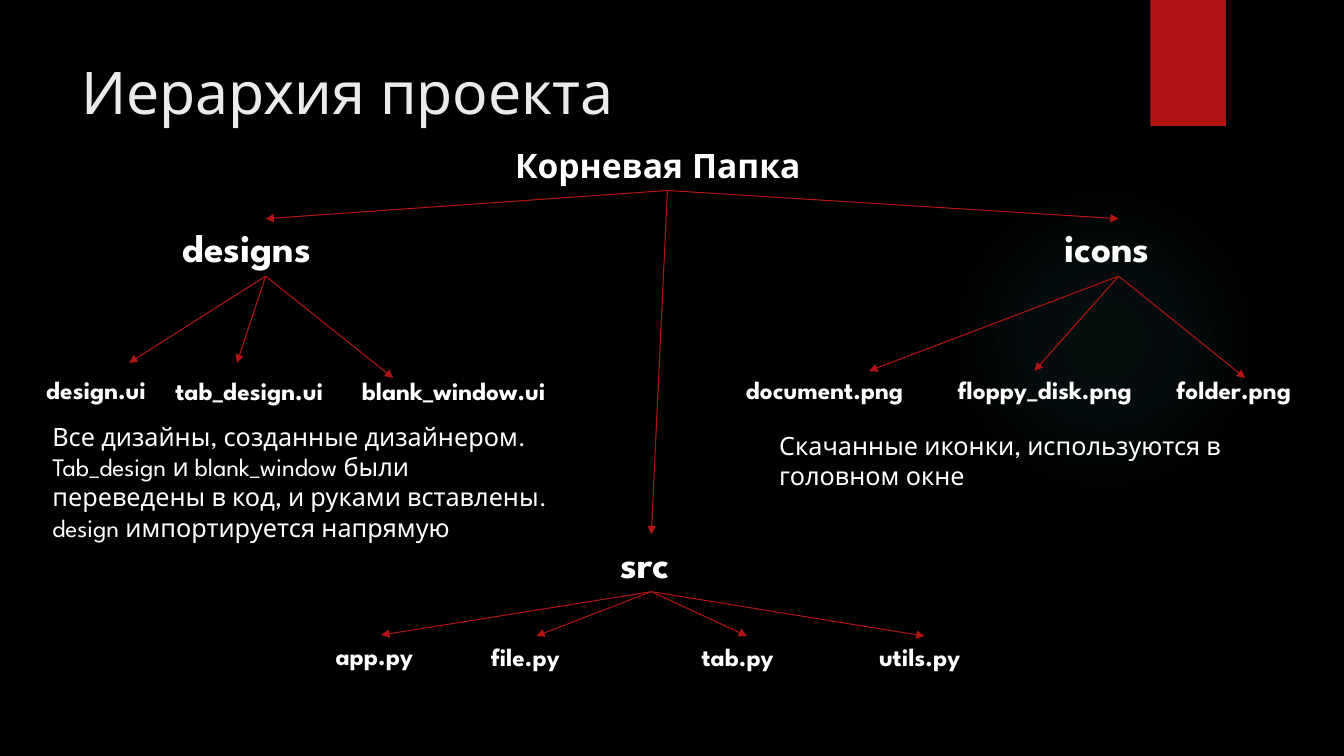
from lxml import etree
from pptx import Presentation
from pptx.dml.color import RGBColor
from pptx.enum.shapes import MSO_CONNECTOR as Connector, MSO_SHAPE as Shape
from pptx.enum.text import MSO_ANCHOR as Anchor
from pptx.oxml import parse_xml
from pptx.oxml.ns import nsdecls, qn
from pptx.util import Inches, Pt

BLACK = RGBColor(0x00, 0x00, 0x00)
WHITE = RGBColor(0xFF, 0xFF, 0xFF)
TITLE_GREY = RGBColor(0xEB, 0xEB, 0xEB)
RED = RGBColor(0xB0, 0x15, 0x13)
GLOW = RGBColor(0x50, 0xB9, 0xC1)
FONT = "League Spartan"
TOP, BOTTOM = 0, 2

# Wide enough to hold the label on one line above the arrows
ROOT = ("Корневая Папка", (5.01, 1.39, 3.22, 0.5))

# Each file: name, box, and the arrow tip (None: the middle of the box top)
FOLDERS = [
    ("designs", (1.71, 2.17, 1.85, 0.57), [
        ("design.ui", (0.36, 3.66, 1.36, 0.4), (1.28, 3.6)),
        ("tab_design.ui", (1.64, 3.67, 1.85, 0.4), (2.35, 3.6)),
        ("blank_window.ui", (3.49, 3.67, 2.3, 0.71), (3.9, 3.75)),
    ]),
    ("icons", (10.46, 2.17, 1.27, 0.57), [
        ("document.png", (7.3, 3.66, 2.17, 0.4), (8.62, 3.68)),
        ("floppy_disk.png", (9.4, 3.66, 2.17, 0.4), (10.26, 3.68)),
        ("folder.png", (11.57, 3.66, 1.68, 0.4), (12.35, 3.75)),
    ]),
    ("src", (6.06, 5.3, 0.8, 0.57), [
        ("app.py", (3.23, 6.3, 1.1, 0.4), None),
        ("file.py", (4.77, 6.31, 1.1, 0.4), None),
        ("tab.py", (6.86, 6.31, 1.1, 0.4), None),
        ("utils.py", (8.62, 6.31, 1.1, 0.4), None),
    ]),
]

NOTES = [
    ((0.42, 4.13, 5.21, 1.31), [
        "Все дизайны, созданные дизайнером.",
        "Tab_design и blank_window были переведены в код, и руками вставлены.",
        "design импортируется напрямую",
    ]),
    ((7.63, 4.22, 5.09, 0.71), [
        "Скачанные иконки, используются в головном окне",
    ]),
]


def add_text(slide, box, lines, size, color=WHITE, bold=False):
    shape = slide.shapes.add_textbox(*map(Inches, box))
    frame = shape.text_frame
    frame.word_wrap = True
    frame.vertical_anchor = Anchor.TOP
    frame.text = "\n".join(lines)
    font_format = {"name": FONT, "size": Pt(size), "bold": bold}
    for paragraph in frame.paragraphs:
        for run in paragraph.runs:
            for attribute, value in font_format.items():
                setattr(run.font, attribute, value)
            run.font.color.rgb = color
    return shape


def add_arrow(slide, parent, child, tip=None):
    """Draw an arrow from the parent's bottom to the tip or the child's top."""
    x, y = map(Inches, tip or (0, 0))
    arrow = slide.shapes.add_connector(Connector.STRAIGHT, 0, 0, x, y)
    arrow.begin_connect(parent, BOTTOM)
    if tip is None:
        arrow.end_connect(child, TOP)
    arrow.line.color.rgb = RED
    arrow.line.width = Pt(0.75)
    etree.SubElement(arrow.line._get_or_add_ln(), qn("a:tailEnd"), type="triangle")
    etree.SubElement(arrow._element.spPr, qn("a:effectLst"))


def add_plain_shape(slide, kind, box, color):
    shape = slide.shapes.add_shape(kind, *map(Inches, box))
    shape.shadow.inherit = False
    shape.line.fill.background()
    shape.fill.solid()
    shape.fill.fore_color.rgb = color
    return shape


def add_glow(slide, box):
    glow = add_plain_shape(slide, Shape.OVAL, box, GLOW)
    stops = "".join(
        f'<a:gs pos="{position * 1000}"><a:srgbClr val="{GLOW}">'
        f'<a:alpha val="{alpha * 1000}"/></a:srgbClr></a:gs>'
        for position, alpha in [(0, 7), (36, 6), (69, 0)])
    gradient = parse_xml(
        f'<a:gradFill {nsdecls("a")}><a:gsLst>{stops}</a:gsLst><a:path path="circle">'
        '<a:fillToRect l="50000" t="50000" r="50000" b="50000"/></a:path></a:gradFill>')
    properties = glow._element.spPr
    properties.replace(properties.find(qn("a:solidFill")), gradient)


def add_folder(slide, root, name, box, files):
    folder = add_text(slide, box, [name], 28, bold=True)
    add_arrow(slide, root, folder)
    for file_name, file_box, tip in files:
        file_label = add_text(slide, file_box, [file_name], 18, bold=True)
        add_arrow(slide, folder, file_label, tip)


def main():
    presentation = Presentation()
    presentation.slide_width = Inches(13.33)
    presentation.slide_height = Inches(7.5)
    slide = presentation.slides.add_slide(presentation.slide_layouts[6])

    # Background and decoration
    slide.background.fill.solid()
    slide.background.fill.fore_color.rgb = BLACK
    add_glow(slide, (9.41, 1.83, 3.08, 3.08))
    add_plain_shape(slide, Shape.RECTANGLE, (11.41, 0, 0.75, 1.25), RED)

    # Title
    add_text(slide, (0.71, 0.5, 10.29, 1.53), ["Иерархия проекта"], 42, TITLE_GREY)

    # Folder tree
    root_name, root_box = ROOT
    root = add_text(slide, root_box, [root_name], 24, bold=True)
    for name, box, files in FOLDERS:
        add_folder(slide, root, name, box, files)

    # Descriptions
    for box, lines in NOTES:
        add_text(slide, box, lines, 18)

    presentation.save("out.pptx")


if __name__ == "__main__":
    main()
